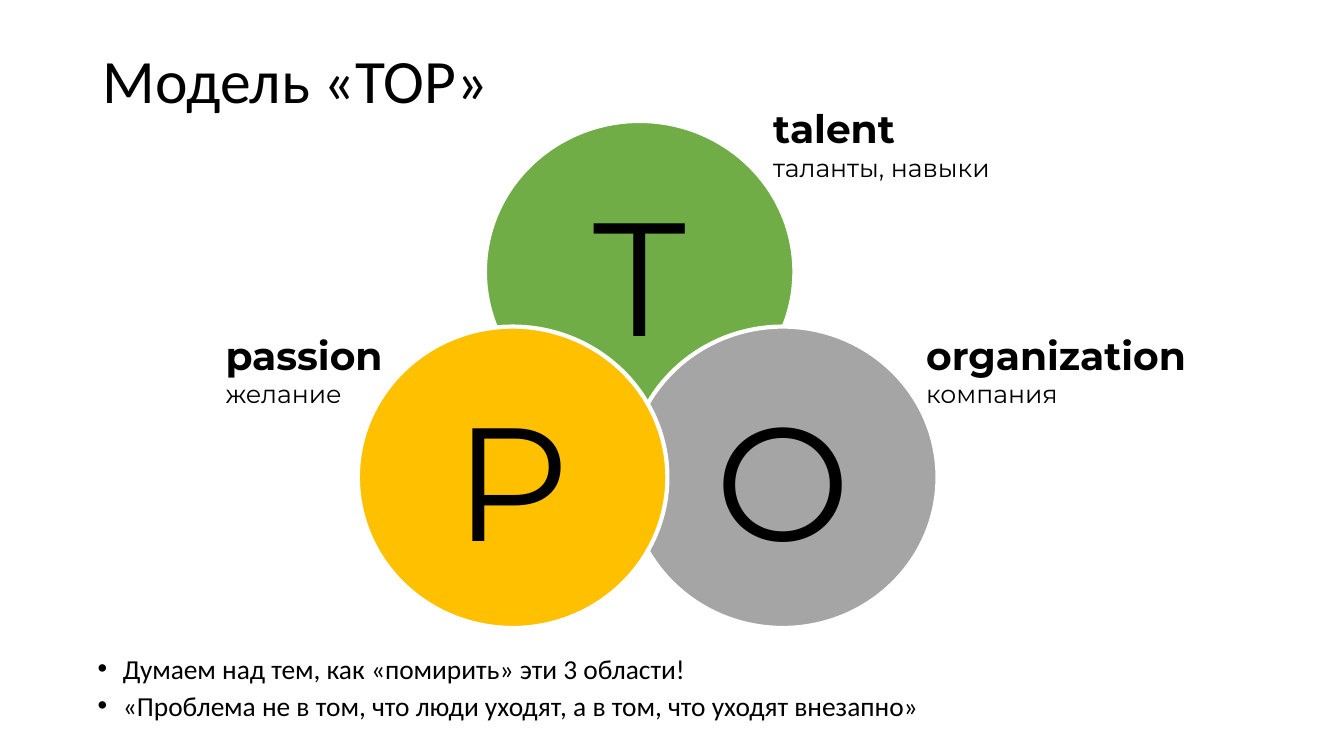
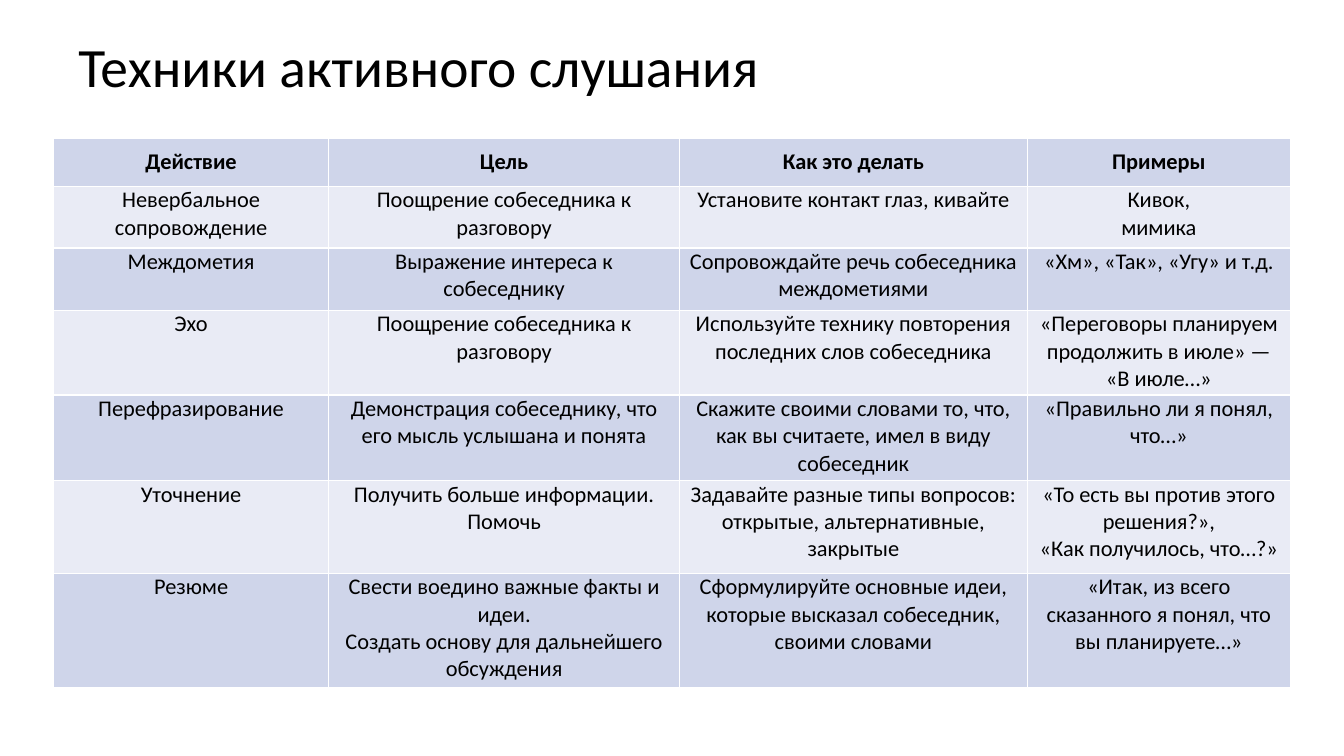
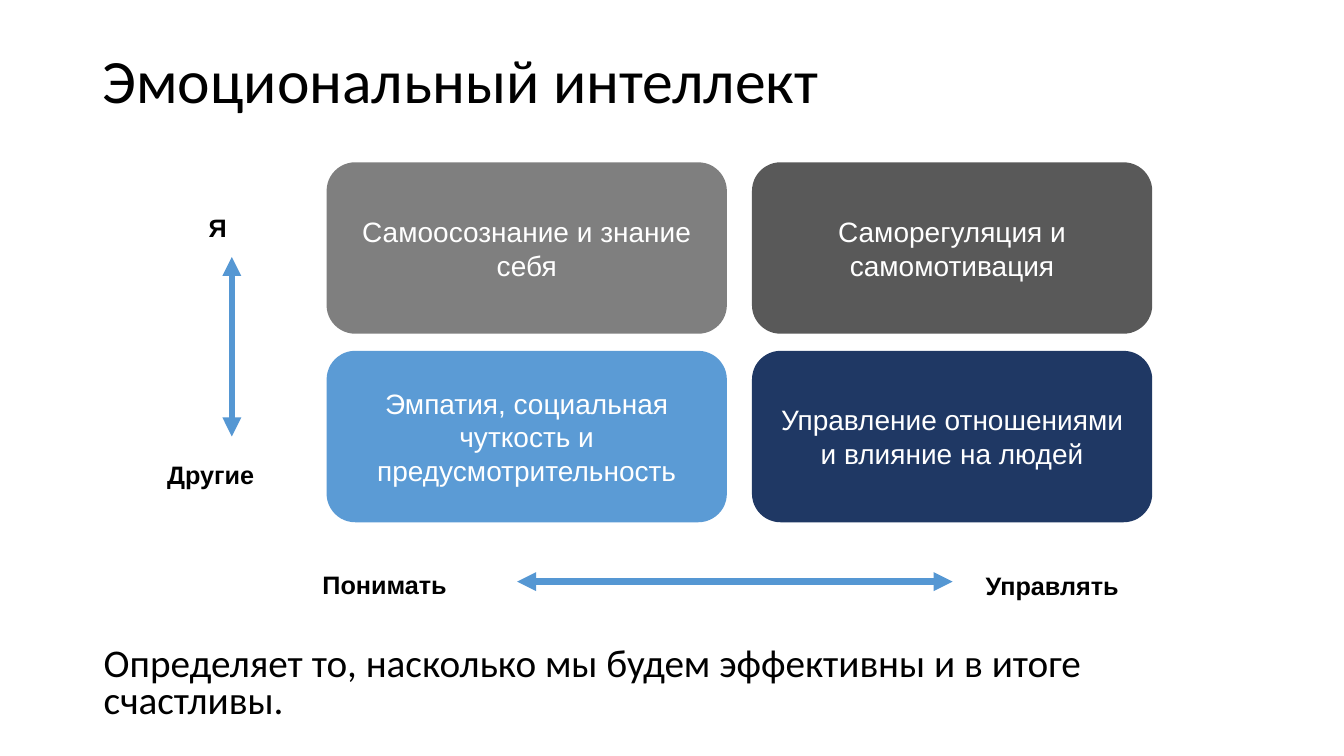
from dataclasses import dataclass

from lxml.etree import SubElement
from pptx import Presentation
from pptx.dml.color import RGBColor
from pptx.enum.shapes import MSO_CONNECTOR as Connector, MSO_SHAPE as Shape
from pptx.enum.text import MSO_ANCHOR as Anchor, PP_ALIGN as Align
from pptx.oxml.ns import qn
from pptx.util import Inches, Pt


@dataclass(frozen=True)
class Theme:
    black: str = "000000"
    white: str = "FFFFFF"
    green: str = "70AD47"
    silver: str = "A5A5A5"
    amber: str = "FFC000"
    gray: str = "7F7F7F"
    charcoal: str = "595959"
    blue: str = "5B9BD5"
    navy: str = "1F3864"
    arrow: str = "5597D3"
    band_dark: str = "CFD5EA"
    band_light: str = "E9EBF5"
    main_font: str = "Calibri"
    model_font: str = "Montserrat"
    matrix_font: str = "Arial"
    title_size: float = 44
    table_title_size: float = 39.6
    letter_size: float = 115
    heading_size: float = 28
    matrix_size: float = 20
    note_size: float = 19.6
    label_size: float = 18
    table_size: float = 16


theme = Theme()

# Content: every position and size is a percentage of the slide's width or height
TOP_TITLE = "Модель «TOP»"
CIRCLE_SIZE = (23.03, 39.87)
CIRCLES = [  # letter, left, top, colour
    ("T", 36.08, 16, theme.green),
    ("O", 46.73, 43.2, theme.silver),
    ("P", 26.63, 43.2, theme.amber),
]
CIRCLE_LABELS = [  # heading, detail, box
    ("talent", "таланты, навыки", (56.78, 13.2, 18.08, 12.13)),
    ("passion", "желание", (16.05, 43.2, 13.28, 12.13)),
    ("organization", "компания", (68.18, 43.2, 21, 12.13)),
]
TOP_NOTES = [
    "Думаем над тем, как «помирить» эти 3 области!",
    "«Проблема не в том, что люди уходят, а в том, что уходят внезапно»",
]

LISTENING_TITLE = "Техники активного слушания"
COLUMN_WIDTHS = [20.48, 26.1, 25.88, 19.58]
ROW_HEIGHTS = [6.4, 8.13, 8.27, 11.2, 11.33, 12.27, 15.07]
LISTENING_ROWS = [
    ("Действие", "Цель", "Как это делать", "Примеры"),
    ("Невербальное сопровождение", "Поощрение собеседника к разговору",
     "Установите контакт глаз, кивайте", "Кивок,\nмимика"),
    ("Междометия", "Выражение интереса к собеседнику",
     "Сопровождайте речь собеседника междометиями", "«Хм», «Так», «Угу» и т.д."),
    ("Эхо", "Поощрение собеседника к разговору",
     "Используйте технику повторения последних слов собеседника",
     "«Переговоры планируем продолжить в июле» — «В июле…»"),
    ("Перефразирование", "Демонстрация собеседнику, что его мысль услышана и понята",
     "Скажите своими словами то, что, как вы считаете, имел в виду собеседник",
     "«Правильно ли я понял, что…»"),
    ("Уточнение", "Получить больше информации.\nПомочь",
     "Задавайте разные типы вопросов: открытые, альтернативные, закрытые",
     "«То есть вы против этого решения?»,\n«Как получилось, что…?»"),
    ("Резюме", "Свести воедино важные факты и идеи.\nСоздать основу для дальнейшего обсуждения",
     "Сформулируйте основные идеи, которые высказал собеседник, своими словами",
     "«Итак, из всего сказанного я понял, что вы планируете…»"),
]

INTELLECT_TITLE = "Эмоциональный интеллект"
MATRIX_ORIGIN = (24.3, 21.47)
MATRIX_CARD = (29.78, 22.67)
MATRIX_GAP = (1.87, 2.27)
MATRIX = [
    [("Самоосознание и знание себя", theme.gray),
     ("Саморегуляция и самомотивация", theme.charcoal)],
    [("Эмпатия, социальная чуткость и предусмотрительность", theme.blue),
     ("Управление отношениями и влияние на людей", theme.navy)],
]
AXIS_ARROWS = [(17.25, 34, 17.25, 57.73), (38.48, 76.93, 70.88, 76.93)]
AXIS_LABELS = [
    ("Я", (14.78, 27.47, 4.88, 5.33)),
    ("Другие", (11.7, 60.13, 11.1, 5.33)),
    ("Понимать", (23.25, 74.67, 13.43, 5.33)),
    ("Управлять", (72.6, 74.8, 14.85, 5.33)),
]
INTELLECT_NOTE = "Определяет то, насколько мы будем эффективны и в итоге счастливы."

presentation = Presentation()
presentation.slide_width, presentation.slide_height = Inches(13.33), Inches(7.5)


def across(share):
    return round(presentation.slide_width * share / 100)


def down(share):
    return round(presentation.slide_height * share / 100)


def place(box):
    left, top, width, height = box
    return across(left), down(top), across(width), down(height)


def color(value):
    return RGBColor.from_string(value)


def write(frame, lines, size, font=theme.main_font, ink=theme.black, bold=False,
          align=Align.LEFT, spacing=None, gap=0, bullet=False, detail_size=None):
    """Write one paragraph per line; detail_size sets the lines after the first."""
    for index, line in enumerate(lines):
        paragraph = frame.paragraphs[0] if index == 0 else frame.add_paragraph()
        is_detail = index > 0 and detail_size is not None
        if bullet:
            properties = paragraph._p.get_or_add_pPr()
            properties.set("marL", str(Inches(0.25)))
            properties.set("indent", str(-Inches(0.25)))
            SubElement(properties, qn("a:buFont"), typeface="Arial")
            SubElement(properties, qn("a:buChar"), char="•")
        paragraph.alignment = align
        if spacing:
            paragraph.line_spacing = spacing
        if index and gap:
            paragraph.space_before = Pt(gap)
        run = paragraph.add_run()
        run.text = line
        run.font.name = font
        run.font.size = Pt(detail_size if is_detail else size)
        run.font.bold = bold and not is_detail
        run.font.color.rgb = color(ink)


def add_text(slide, box, lines, anchor=Anchor.TOP, inset=0.05, **style):
    frame = slide.shapes.add_textbox(*place(box)).text_frame
    frame.word_wrap = True
    frame.vertical_anchor = anchor
    frame.margin_top = frame.margin_bottom = Inches(inset)
    write(frame, lines, **style)


def add_card(slide, kind, box, text, fill, outline=None, **style):
    shape = slide.shapes.add_shape(kind, *place(box))
    shape.shadow.inherit = False
    shape.fill.solid()
    shape.fill.fore_color.rgb = color(fill)
    if outline:
        shape.line.color.rgb = color(outline)
        shape.line.width = Pt(3)
    else:
        shape.line.fill.background()
    shape.text_frame.word_wrap = True
    shape.text_frame.vertical_anchor = Anchor.MIDDLE
    write(shape.text_frame, [text], align=Align.CENTER, **style)


def add_double_arrow(slide, ends):
    x1, y1, x2, y2 = ends
    arrow = slide.shapes.add_connector(Connector.STRAIGHT, across(x1), down(y1), across(x2), down(y2))
    arrow.line.color.rgb = color(theme.arrow)
    arrow.line.width = Pt(4.5)
    line = arrow.line._get_or_add_ln()
    for end in ("a:headEnd", "a:tailEnd"):
        SubElement(line, qn(end), type="triangle")
    SubElement(arrow._element.spPr, qn("a:effectLst"))


def add_borders(cell):
    properties = cell._tc.get_or_add_tcPr()
    for index, side in enumerate(("a:lnL", "a:lnR", "a:lnT", "a:lnB")):
        line = properties.makeelement(qn(side), {"w": str(Pt(1))})
        properties.insert(index, line)
        solid = SubElement(line, qn("a:solidFill"))
        SubElement(solid, qn("a:srgbClr"), val=theme.white)


def new_slide(title, box=(6.9, 5.33, 86.25, 10.8), size=theme.title_size, **options):
    slide = presentation.slides.add_slide(presentation.slide_layouts[6])
    add_text(slide, box, [title], size=size, spacing=0.9, **options)
    return slide


def build_top_model():
    slide = new_slide(TOP_TITLE, inset=0.1)
    add_text(slide, (6.53, 86.8, 86.25, 9.6), TOP_NOTES, size=theme.note_size,
             spacing=0.7, gap=10, bullet=True)
    for letter, left, top, fill in CIRCLES:
        add_card(slide, Shape.OVAL, (left, top, *CIRCLE_SIZE), letter, fill,
                 outline=theme.white, size=theme.letter_size, font=theme.model_font)
    for heading, detail, box in CIRCLE_LABELS:
        add_text(slide, box, [heading, detail], size=theme.heading_size,
                 detail_size=theme.label_size, font=theme.model_font, bold=True)


def build_listening_table():
    slide = new_slide(LISTENING_TITLE, (5.1, 4.93, 86.25, 8.53),
                      theme.table_title_size, anchor=Anchor.MIDDLE)
    box = (3.98, 18.27, sum(COLUMN_WIDTHS), sum(ROW_HEIGHTS))
    table = slide.shapes.add_table(len(ROW_HEIGHTS), len(COLUMN_WIDTHS), *place(box)).table
    for column, width in zip(table.columns, COLUMN_WIDTHS):
        column.width = across(width)
    for row_index, (row, height, texts) in enumerate(zip(table.rows, ROW_HEIGHTS, LISTENING_ROWS)):
        row.height = down(height)
        is_header = row_index == 0
        for cell, text in zip(row.cells, texts):
            cell.fill.solid()
            cell.fill.fore_color.rgb = color(theme.band_light if row_index % 2 else theme.band_dark)
            cell.margin_left = cell.margin_right = Inches(0.06)
            cell.margin_top = cell.margin_bottom = 0
            cell.vertical_anchor = Anchor.MIDDLE if is_header else Anchor.TOP
            add_borders(cell)
            write(cell.text_frame, text.split("\n"), size=theme.table_size,
                  bold=is_header, align=Align.CENTER)


def build_emotional_intellect():
    slide = new_slide(INTELLECT_TITLE, inset=0.1)
    add_text(slide, (6.98, 84.93, 86.25, 11.6), [INTELLECT_NOTE],
             size=theme.heading_size, spacing=0.8)
    # Two-by-two matrix
    for row_index, cards in enumerate(MATRIX):
        for column_index, (text, fill) in enumerate(cards):
            left, top = (origin + index * (length + gap) for origin, index, length, gap in
                         zip(MATRIX_ORIGIN, (column_index, row_index), MATRIX_CARD, MATRIX_GAP))
            add_card(slide, Shape.ROUNDED_RECTANGLE, (left, top, *MATRIX_CARD), text, fill,
                     size=theme.matrix_size, font=theme.matrix_font, ink=theme.white)
    # Axes
    for ends in AXIS_ARROWS:
        add_double_arrow(slide, ends)
    for text, box in AXIS_LABELS:
        add_text(slide, box, [text], size=theme.label_size, font=theme.matrix_font, bold=True)


def main():
    build_top_model()
    build_listening_table()
    build_emotional_intellect()
    presentation.save("out.pptx")


if __name__ == "__main__":
    main()
